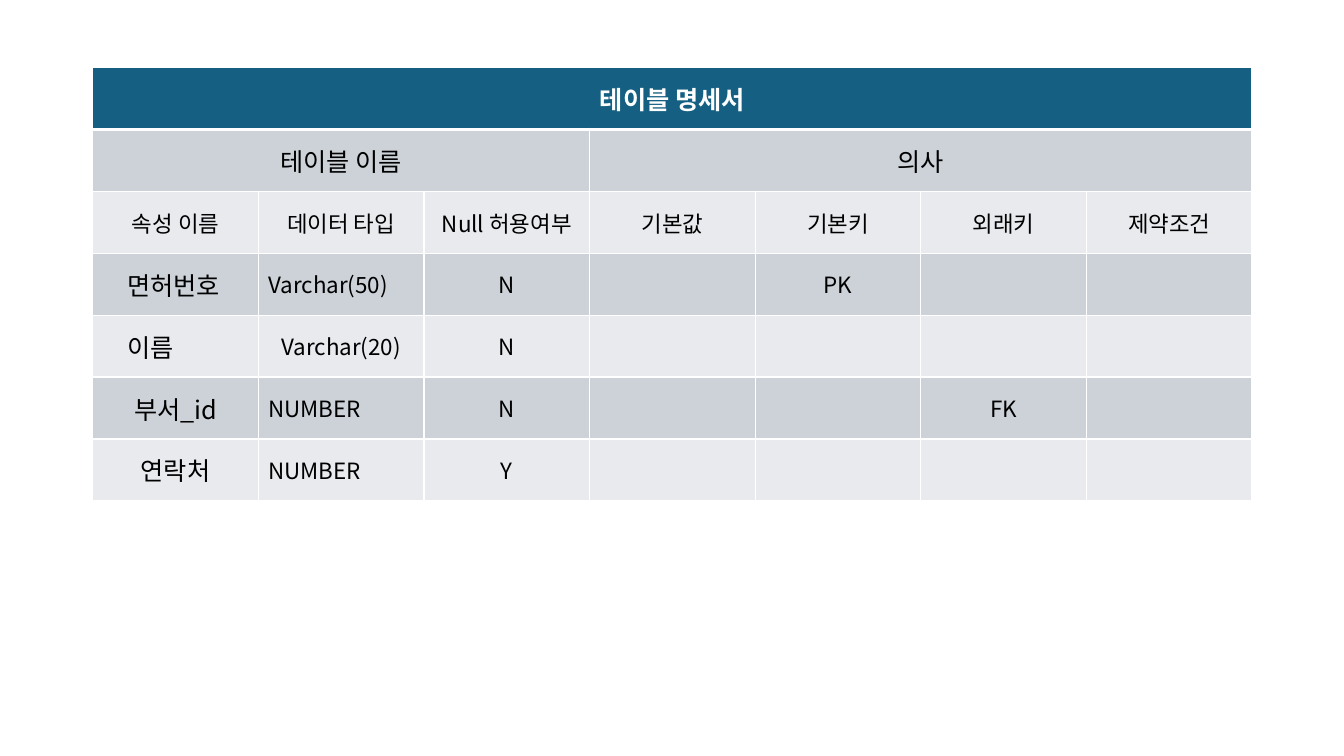
from dataclasses import dataclass

from lxml.etree import SubElement
from pptx import Presentation
from pptx.dml.color import RGBColor
from pptx.enum.text import MSO_ANCHOR, PP_ALIGN
from pptx.oxml import parse_xml
from pptx.oxml.ns import nsdecls, qn
from pptx.table import _Cell
from pptx.util import Inches, Pt

FONT = "Noto Sans CJK KR"
HEAD, DARK, LIGHT = "156082", "CCD2D8", "E8EAED"
WHITE, BLACK = "FFFFFF", "000000"
ROWS, COLS = 7, 7


@dataclass
class Field:
    """One attribute row of the table specification."""
    name: str
    kind: str
    null: str
    key: str = ""
    link: str = ""
    name_inset: float = 0
    kind_left: bool = True


LABELS = ["속성 이름", "데이터 타입", "Null 허용여부", "기본값", "기본키", "외래키", "제약조건"]
FIELDS = [
    Field("면허번호", "Varchar(50)", "N", key="PK", name_inset=0.34),
    Field("이름", "Varchar(20)", "N", name_inset=0.34, kind_left=False),
    Field("부서_id", "NUMBER", "N", link="FK"),
    Field("연락처", "NUMBER", "Y"),
]


def tint(code: str) -> RGBColor:
    """Turn a hex string into a colour."""
    return RGBColor.from_string(code)


def write(cell: _Cell, text: str, *, size: int = 16, color: str = BLACK,
          bold: bool = False, left: bool = False, inset: float = 0) -> None:
    """Put formatted text into a cell."""
    para = cell.text_frame.paragraphs[0]
    para.alignment = PP_ALIGN.LEFT if left or inset else PP_ALIGN.CENTER
    if inset:
        cell.margin_left = Inches(inset)
    run = para.add_run()
    run.text = text
    font = run.font
    font.size, font.bold, font.name = Pt(size), bold, FONT
    font.color.rgb = tint(color)
    SubElement(run._r.get_or_add_rPr(), qn("a:ea"), typeface=FONT)


def edge(cell: _Cell, row: int) -> None:
    """Draw white borders, thicker below the heading row."""
    widths = {"L": 1, "R": 1, "T": 3 if row == 1 else 1, "B": 3 if row == 0 else 1}
    props = cell._tc.get_or_add_tcPr()
    for spot, (side, width) in enumerate(widths.items()):
        props.insert(spot, parse_xml(
            f'<a:ln{side} {nsdecls("a")} w="{Pt(width)}"><a:solidFill>'
            f'<a:srgbClr val="{WHITE}"/></a:solidFill></a:ln{side}>'))


def main() -> None:
    """Build the slide and save it."""
    deck = Presentation()
    deck.slide_width, deck.slide_height = Inches(13.33), Inches(7.5)
    slide = deck.slides.add_slide(deck.slide_layouts[6])
    grid = slide.shapes.add_table(ROWS, COLS, Inches(0.92), Inches(0.67),
                                  Inches(11.5), Inches(4.3)).table
    for row in range(ROWS):
        for col in range(COLS):
            cell = grid.cell(row, col)
            cell.vertical_anchor = MSO_ANCHOR.MIDDLE
            cell.fill.solid()
            shade = HEAD if row == 0 else DARK if row % 2 else LIGHT
            cell.fill.fore_color.rgb = tint(shade)
            edge(cell, row)

    for row, start, end in [(0, 0, 6), (1, 0, 2), (1, 3, 6)]:
        grid.cell(row, start).merge(grid.cell(row, end))
    write(grid.cell(0, 0), "테이블 명세서", size=18, color=WHITE, bold=True)
    write(grid.cell(1, 0), "테이블 이름", size=18)
    write(grid.cell(1, 3), "의사", size=18)
    for col, label in enumerate(LABELS):
        write(grid.cell(2, col), label)
    for row, field in enumerate(FIELDS, 3):
        write(grid.cell(row, 0), field.name, size=18, inset=field.name_inset)
        write(grid.cell(row, 1), field.kind, left=field.kind_left)
        for col, text in [(2, field.null), (4, field.key), (5, field.link)]:
            if text:
                write(grid.cell(row, col), text)
    deck.save("out.pptx")


if __name__ == "__main__":
    main()
